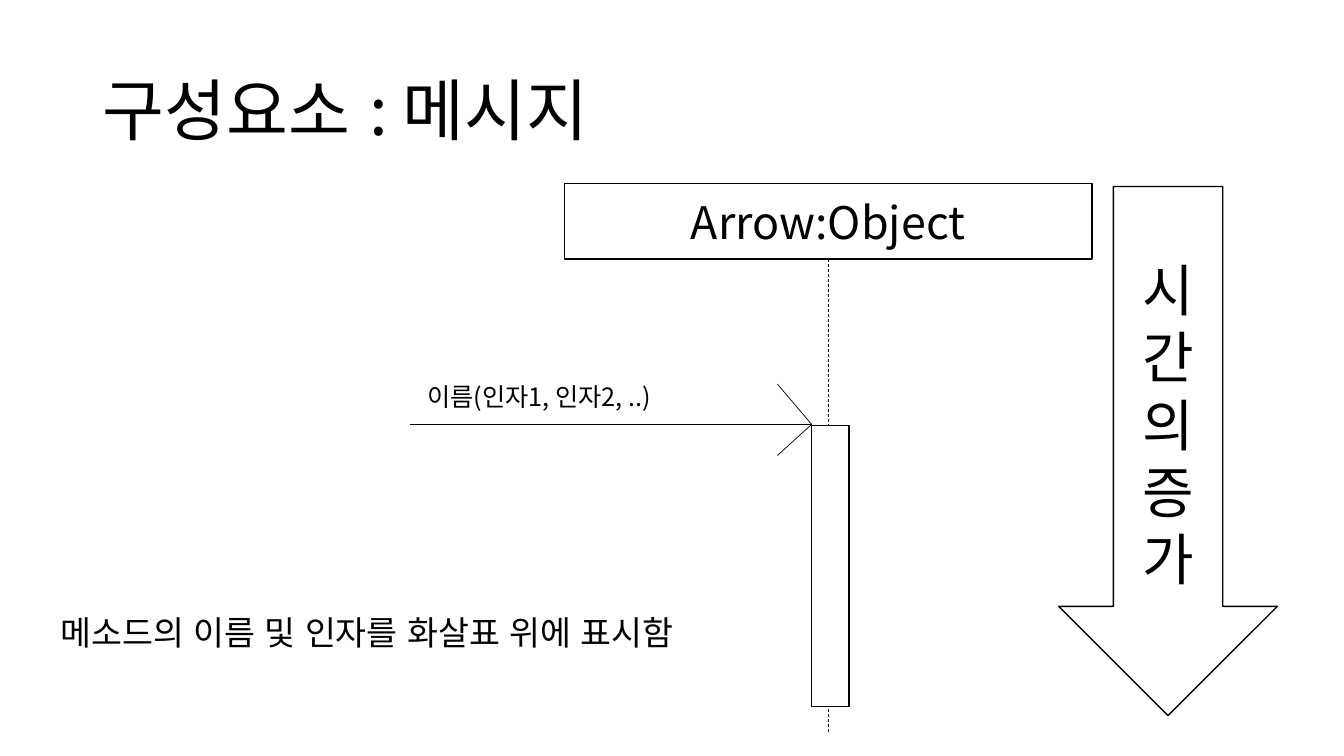
from dataclasses import dataclass

from lxml import etree
from pptx import Presentation
from pptx import util as u
from pptx.dml import color as col
from pptx.enum import dml, lang, shapes, text
from pptx.oxml import ns

SCALE = 9144  # EMU per px, 100 px to the inch


@dataclass(frozen=True)
class Theme:
    font: str = "Noto Sans CJK KR"
    ink: str = "000000"
    paper: str = "FFFFFF"
    title: int = 48
    arrow: int = 40
    head: int = 32
    note: int = 24
    label: int = 18
    thin: float = 0.5
    edge: float = 1


@dataclass(frozen=True)
class Box:
    left: int
    top: int
    width: int
    height: int
    words: str = ""
    size: int = 18
    form: shapes.MSO_SHAPE = shapes.MSO_SHAPE.RECTANGLE


@dataclass(frozen=True)
class Line:
    start: tuple[int, int]
    end: tuple[int, int]
    dash: bool = False


THEME = Theme()
TIP = (805, 421)
AXIS = 822

TITLE = Box(92, 40, 1150, 145, "구성요소 : 메시지", THEME.title)
STROKES = [Line(TIP, end) for end in ((771, 381), (771, 452), (407, 421))]
LABEL = Box(414, 373, 331, 41, "이름(인자1, 인자2, ..)", THEME.label)
OBJECT = Box(560, 182, 523, 75, "Arrow:Object", THEME.head)
LIFE = Line((AXIS, 257), (AXIS, 726), dash=True)
NOTE = Box(50, 602, 772, 50, "메소드의 이름 및 인자를 화살표 위에 표시함", THEME.note)
ACTIVE = Box(805, 422, 37, 279)
TIME = Box(1050, 185, 217, 525, "시간의 증가", THEME.arrow, shapes.MSO_SHAPE.DOWN_ARROW)


def px(*values: int) -> list[u.Emu]:
    return [u.Emu(value * SCALE) for value in values]


def rgb(code: str) -> col.RGBColor:
    return col.RGBColor.from_string(code)


def write(frame, box: Box, align, anchor) -> None:
    frame.word_wrap = True
    frame.auto_size = text.MSO_AUTO_SIZE.NONE
    frame.vertical_anchor = anchor
    para = frame.paragraphs[0]
    para.alignment = align
    run = para.add_run()
    run.text = box.words
    font = run.font
    font.size = u.Pt(box.size)
    font.color.rgb = rgb(THEME.ink)
    font.name = THEME.font
    font.language_id = lang.MSO_LANGUAGE_ID.KOREAN
    # East Asian typeface
    latin = run._r.rPr.find(ns.qn("a:latin"))
    east = etree.Element(ns.qn("a:ea"), typeface=THEME.font)
    latin.addnext(east)


def add_title(slide, box: Box) -> None:
    title = slide.shapes.title
    title.left, title.top, title.width, title.height = px(box.left, box.top, box.width, box.height)
    write(title.text_frame, box, text.PP_ALIGN.LEFT, text.MSO_ANCHOR.MIDDLE)
    title.text_frame.paragraphs[0].line_spacing = 0.9


def add_text(slide, box: Box) -> None:
    area = slide.shapes.add_textbox(*px(box.left, box.top, box.width, box.height))
    write(area.text_frame, box, text.PP_ALIGN.LEFT, text.MSO_ANCHOR.TOP)


def add_box(slide, box: Box) -> None:
    shape = slide.shapes.add_shape(box.form, *px(box.left, box.top, box.width, box.height))
    shape.shadow.inherit = False
    shape.fill.solid()
    shape.fill.fore_color.rgb = rgb(THEME.paper)
    shape.line.color.rgb = rgb(THEME.ink)
    shape.line.width = u.Pt(THEME.edge)
    if box.words:
        write(shape.text_frame, box, text.PP_ALIGN.CENTER, text.MSO_ANCHOR.MIDDLE)


def add_line(slide, line: Line) -> None:
    link = slide.shapes.add_connector(
        shapes.MSO_CONNECTOR.STRAIGHT, *px(*line.start, *line.end)
    )
    link.line.color.rgb = rgb(THEME.ink)
    link.line.width = u.Pt(THEME.thin)
    if line.dash:
        link.line.dash_style = dml.MSO_LINE.DASH
    etree.SubElement(link._element.spPr, ns.qn("a:effectLst"))


def main() -> None:
    deck = Presentation()
    deck.slide_width, deck.slide_height = px(1333, 750)
    slide = deck.slides.add_slide(deck.slide_layouts[5])

    add_title(slide, TITLE)

    # Message arrow and its label
    for stroke in STROKES:
        add_line(slide, stroke)
    add_text(slide, LABEL)

    # Object, lifeline and activation
    add_box(slide, OBJECT)
    add_line(slide, LIFE)
    add_text(slide, NOTE)
    add_box(slide, ACTIVE)

    # Passing of time
    add_box(slide, TIME)

    deck.save("out.pptx")


if __name__ == "__main__":
    main()
